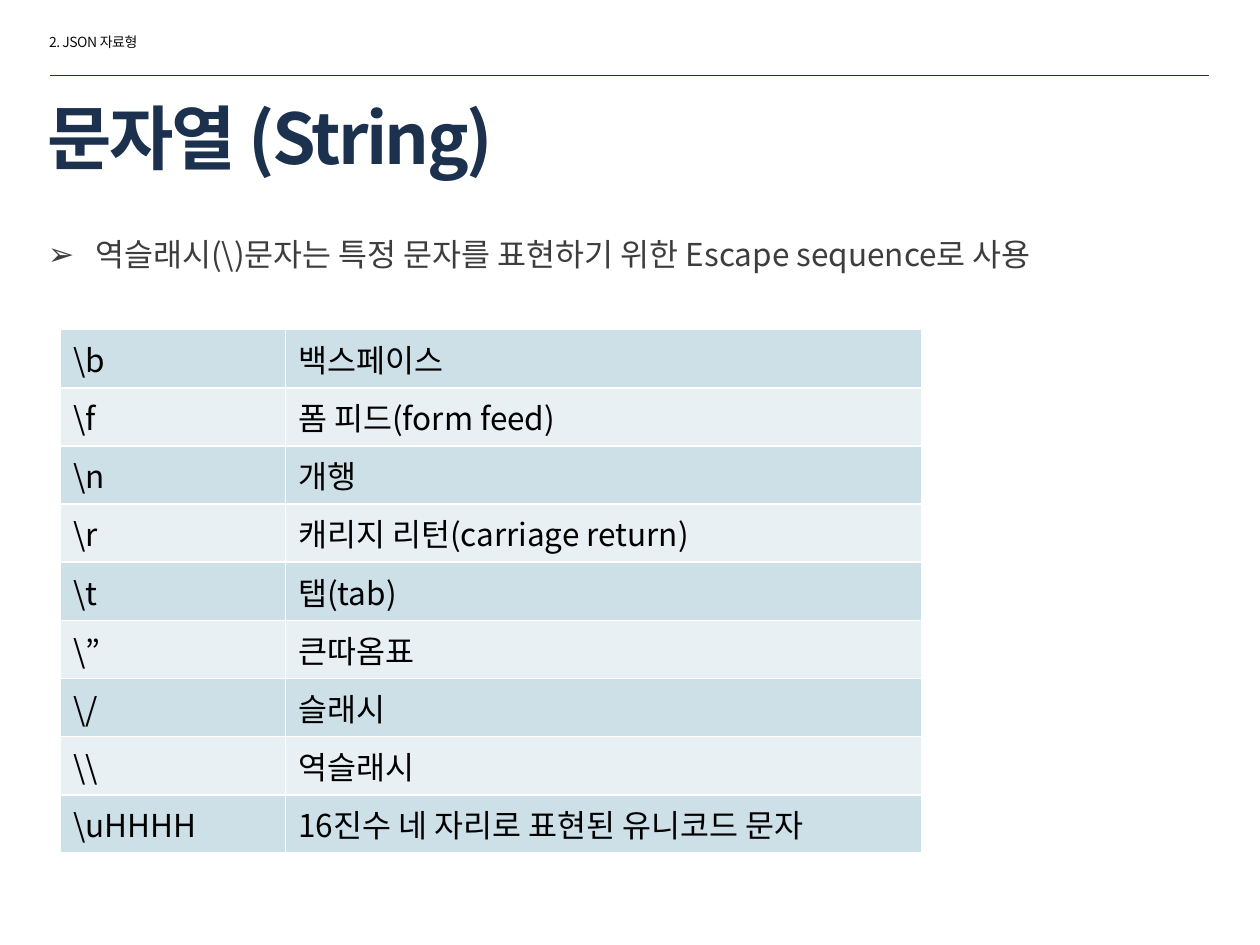
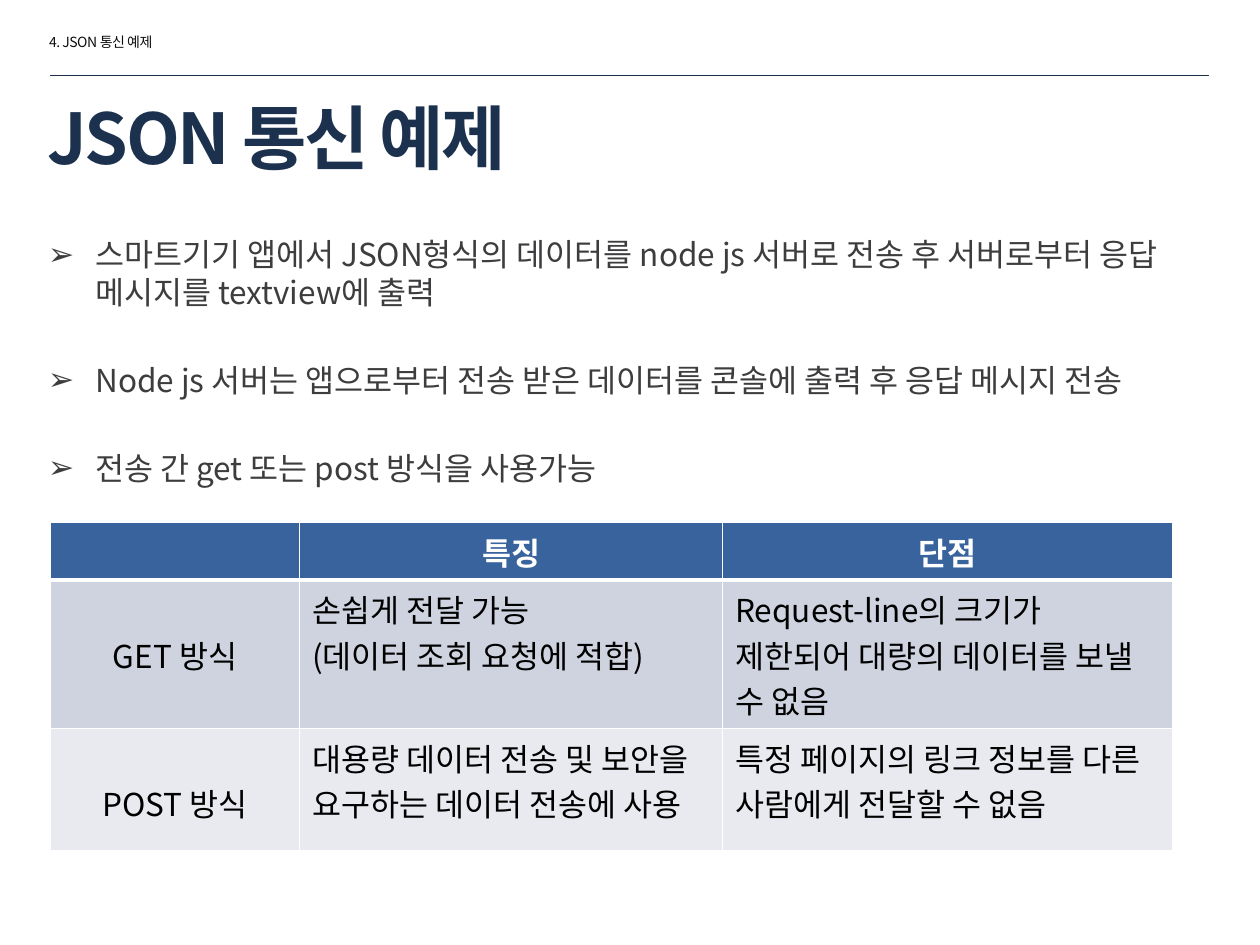
from lxml.etree import SubElement
from pptx import Presentation
from pptx.dml.color import RGBColor
from pptx.enum.shapes import MSO_CONNECTOR
from pptx.enum.text import MSO_ANCHOR, MSO_AUTO_SIZE, PP_ALIGN
from pptx.oxml.ns import qn
from pptx.util import Pt

FONT = "Noto Sans CJK KR"
COLORS = {
    "navy": "1C314E",
    "section": "0D0D0D",
    "body": "3D3C3E",
    "black": "000000",
    "white": "FFFFFF",
    "escape_dark": "CDE0E8",
    "escape_light": "E8F0F4",
    "method_head": "39639D",
    "method_dark": "CED3DF",
    "method_light": "E8EAEF",
}
SECTION_BOX = (21, 15.5, 125, 17)
RULE_BOX = (28.8, 43.2, 662, 0)
TITLE_BOX = (20.2, 54.9, 551, 46)
BODY_INDENT = 27
LINE_HEIGHT = 26
CELL_MARGIN = 3.6

ESCAPES = [
    ("\\b", "백스페이스"),
    ("\\f", "폼 피드(form feed)"),
    ("\\n", "개행"),
    ("\\r", "캐리지 리턴(carriage return)"),
    ("\\t", "탭(tab)"),
    ("\\”", "큰따옴표"),
    ("\\/", "슬래시"),
    ("\\\\", "역슬래시"),
    ("\\uHHHH", "16진수 네 자리로 표현된 유니코드 문자"),
]
METHOD_HEADS = ("", "특징", "단점")
METHODS = [
    ("GET 방식", "손쉽게 전달 가능\n(데이터 조회 요청에 적합)",
     "Request-line의 크기가 제한되어 대량의 데이터를 보낼 수 없음"),
    ("POST 방식", "대용량 데이터 전송 및 보안을 요구하는 데이터 전송에 사용",
     "특정 페이지의 링크 정보를 다른 사람에게 전달할 수 없음"),
]


def rgb(color):
    return RGBColor.from_string(COLORS[color])


def points(box):
    return [Pt(length) for length in box]


def place(part, box):
    part.left, part.top, part.width, part.height = points(box)


def write(frame, text, size=18, color="black", bold=False, align=PP_ALIGN.LEFT, tracking=0):
    frame.word_wrap = True
    for index, line in enumerate(text.split("\n")):
        paragraph = frame.paragraphs[0] if index == 0 else frame.add_paragraph()
        paragraph.alignment = align
        if not line:
            continue
        run = paragraph.add_run()
        run.text = line
        run.font.name = FONT
        run.font.size = Pt(size)
        run.font.bold = bold
        run.font.color.rgb = rgb(color)
        properties = run._r.get_or_add_rPr()
        properties.set("kern", "0")
        SubElement(properties, qn("a:ea"), typeface=FONT)
        if tracking:
            properties.set("spc", str(round(tracking * 100)))


def add_heading(slide, section, title):
    section_label = slide.shapes.add_textbox(*points(SECTION_BOX))
    write(section_label.text_frame, section, size=8, color="section", tracking=-0.3)

    left, top, width, height = RULE_BOX
    rule = slide.shapes.add_connector(
        MSO_CONNECTOR.STRAIGHT, *points((left, top, left + width, top + height)))
    rule.line.color.rgb = rgb("navy")
    rule.line.width = Pt(0.25)
    SubElement(rule._element.spPr, qn("a:effectLst"))

    heading = slide.shapes.title
    place(heading, TITLE_BOX)
    heading.text_frame.auto_size = MSO_AUTO_SIZE.NONE
    heading.text_frame.vertical_anchor = MSO_ANCHOR.MIDDLE
    write(heading.text_frame, title, size=40, color="navy", bold=True, tracking=-1.5)


def add_bullets(slide, box, lines):
    body = slide.placeholders[1]
    place(body, box)
    frame = body.text_frame
    frame.auto_size = MSO_AUTO_SIZE.NONE
    frame.margin_top = Pt(4.2)
    write(frame, "\n".join(lines), color="body")
    for index, paragraph in enumerate(frame.paragraphs):
        paragraph.line_spacing = 1.0
        paragraph.space_before = Pt(28.7 if index else 0)
        properties = paragraph._p.get_or_add_pPr()
        properties.set("marL", str(Pt(BODY_INDENT)))
        properties.set("indent", str(-Pt(BODY_INDENT)))
        SubElement(properties, qn("a:buChar"), char="➢")


def style_cell(cell, fill, bottom=1):
    properties = cell._tc.get_or_add_tcPr()
    for side, width in (("L", 1), ("R", 1), ("T", 1), ("B", bottom)):
        border = SubElement(properties, qn(f"a:ln{side}"), w=str(Pt(width)))
        stroke = SubElement(border, qn("a:solidFill"))
        SubElement(stroke, qn("a:srgbClr"), val=COLORS["white"])
    cell.fill.solid()
    cell.fill.fore_color.rgb = rgb(fill)


def add_grid(slide, box, widths, heights):
    grid = slide.shapes.add_table(len(heights), len(widths), *points(box)).table
    grid.first_row = grid.horz_banding = False
    for column, width in zip(grid.columns, widths):
        column.width = Pt(width)
    for row, height in zip(grid.rows, heights):
        row.height = Pt(height)
    return grid


def add_escape_table(slide, box):
    width, height = box[2:]
    key_width = 128.6
    row_height = height / len(ESCAPES)
    grid = add_grid(slide, box, (key_width, width - key_width), [row_height] * len(ESCAPES))
    for row, texts in enumerate(ESCAPES):
        for column, text in enumerate(texts):
            cell = grid.cell(row, column)
            style_cell(cell, "escape_light" if row % 2 else "escape_dark")
            write(cell.text_frame, text)


def add_method_table(slide, box):
    width, height = box[2:]
    name_width, feature_width = 142.4, 241.8
    head_height, get_height = 32.8, 84.9
    grid = add_grid(slide, box, (name_width, feature_width, width - name_width - feature_width),
                    (head_height, get_height, height - head_height - get_height))
    for column, text in enumerate(METHOD_HEADS):
        cell = grid.cell(0, column)
        style_cell(cell, "method_head", bottom=3)
        write(cell.text_frame, text, color="white", bold=True, align=PP_ALIGN.CENTER)
    for row, texts in enumerate(METHODS, 1):
        for column, text in enumerate(texts):
            cell = grid.cell(row, column)
            style_cell(cell, "method_dark" if row % 2 else "method_light")
            write(cell.text_frame, text, align=PP_ALIGN.LEFT if column else PP_ALIGN.CENTER)
        grid.cell(row, 0).margin_top = Pt(CELL_MARGIN + LINE_HEIGHT)


def add_content_slide(deck, section, title, body_box, lines):
    slide = deck.slides.add_slide(deck.slide_layouts[1])
    add_heading(slide, section, title)
    add_bullets(slide, body_box, lines)
    return slide


def main():
    deck = Presentation()
    deck.slide_width, deck.slide_height = Pt(720), Pt(540)

    string_slide = add_content_slide(
        deck, "2. JSON 자료형", "문자열 (String)", (20.2, 130.3, 635, 35.3),
        ["역슬래시(\\)문자는 특정 문자를 표현하기 위한 Escape sequence로 사용"])
    add_escape_table(string_slide, (34.6, 188.4, 492.2, 299.2))

    example_slide = add_content_slide(
        deck, "4. JSON 통신 예제", "JSON 통신 예제", (20.2, 130.3, 662.4, 166.3),
        ["스마트기기 앱에서 JSON형식의 데이터를 node js 서버로 전송 후 서버로부터 응답 메시지를 textview에 출력",
         "Node js 서버는 앱으로부터 전송 받은 데이터를 콘솔에 출력 후 응답 메시지 전송",
         "전송 간 get 또는 post 방식을 사용가능"])
    add_method_table(example_slide, (28.8, 298.6, 641.5, 187.7))

    deck.save("out.pptx")


if __name__ == "__main__":
    main()
